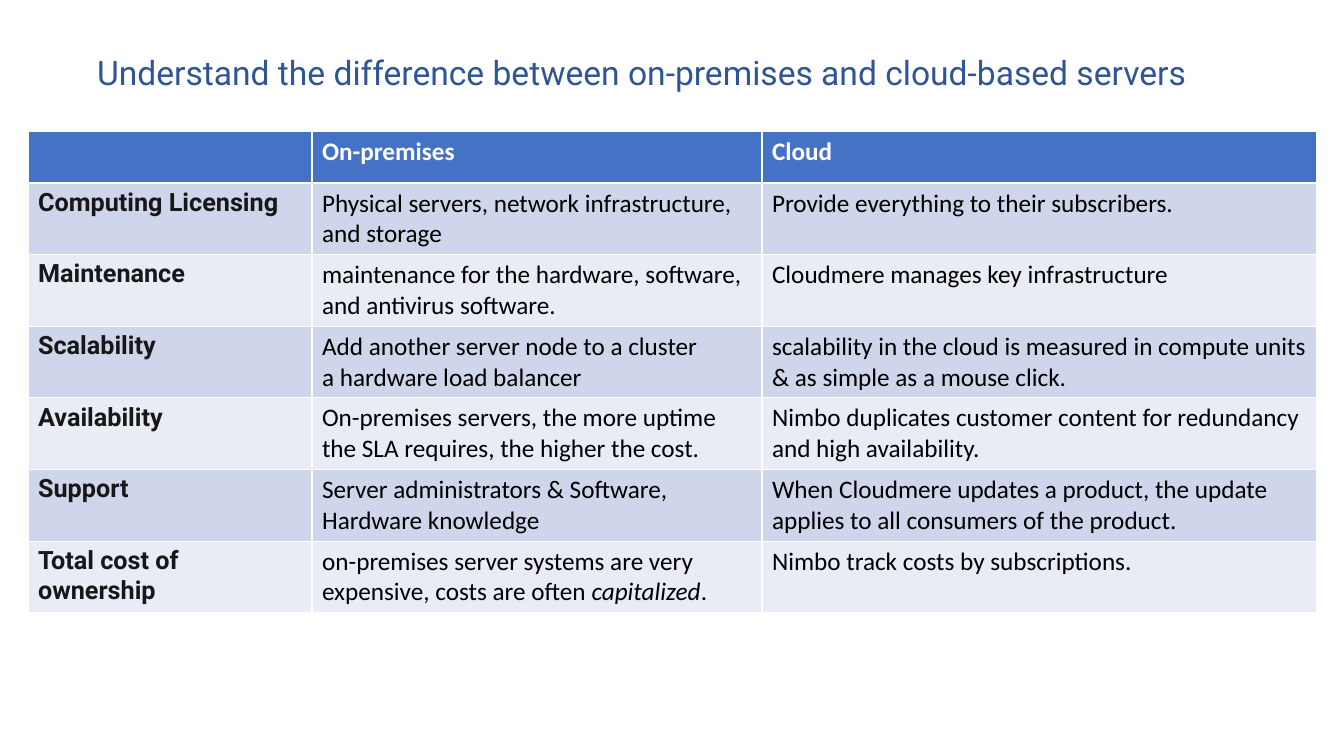
import pptx
import pptx.dml.color
import pptx.enum.text
import pptx.util

RGBColor = pptx.dml.color.RGBColor
TITLE_BLUE = RGBColor(0x2F, 0x55, 0x97)
HEADER_BLUE = RGBColor(0x44, 0x72, 0xC4)
BAND_DARK = RGBColor(0xCF, 0xD5, 0xEA)
BAND_LIGHT = RGBColor(0xE9, 0xEB, 0xF5)
WHITE = RGBColor(0xFF, 0xFF, 0xFF)
BLACK = RGBColor(0x00, 0x00, 0x00)
LABEL_BLACK = RGBColor(0x17, 0x17, 0x17)

COLUMN_WIDTHS = [284, 450, 555]
HEADER_HEIGHT = 52
ROW_HEIGHT = 70

ROWS = [
    ["", "On-premises", "Cloud"],
    ["Computing Licensing",
     "Physical servers, network infrastructure, and storage",
     "Provide everything to their subscribers."],
    ["Maintenance",
     "maintenance for the hardware, software, and antivirus software.",
     "Cloudmere manages key infrastructure"],
    ["Scalability",
     "Add another server node to a cluster\na hardware load balancer",
     "scalability in the cloud is measured in compute units & as simple as a mouse click."],
    ["Availability",
     "On-premises servers, the more uptime the SLA requires, the higher the cost.",
     "Nimbo duplicates customer content for redundancy and high availability."],
    ["Support",
     "Server administrators & Software, Hardware knowledge",
     "When Cloudmere updates a product, the update applies to all consumers of the product."],
    ["Total cost of ownership",
     "on-premises server systems are very expensive, costs are often *capitalized*.",
     "Nimbo track costs by subscriptions."],
]


def px(length):
    return pptx.util.Emu(round(length * 914400 / 100.8))


def add_run(paragraph, text, size, font_name, color, bold=False, italic=False):
    run = paragraph.add_run()
    run.text = text
    run.font.size = pptx.util.Pt(size)
    run.font.name = font_name
    run.font.color.rgb = color
    run.font.bold = bold
    run.font.italic = italic


presentation = pptx.Presentation()
presentation.slide_width = px(1344)
presentation.slide_height = px(756)
slide = presentation.slides.add_slide(presentation.slide_layouts[5])

title = slide.shapes.title
title.left, title.top, title.width, title.height = px(87), px(47), px(1211), px(51)
title_frame = title.text_frame
title_frame.word_wrap = True
title_frame.auto_size = pptx.enum.text.MSO_AUTO_SIZE.NONE
title_frame.vertical_anchor = pptx.enum.text.MSO_ANCHOR.TOP
title_paragraph = title_frame.paragraphs[0]
title_paragraph.alignment = pptx.enum.text.PP_ALIGN.LEFT
add_run(title_paragraph,
        "Understand the difference between on-premises and cloud-based servers",
        24, "Roboto", TITLE_BLUE)

table_height = HEADER_HEIGHT + ROW_HEIGHT * (len(ROWS) - 1)
table = slide.shapes.add_table(
    len(ROWS), len(COLUMN_WIDTHS),
    px(28), px(131), px(sum(COLUMN_WIDTHS)), px(table_height)).table
for column, width in zip(table.columns, COLUMN_WIDTHS):
    column.width = px(width)

for row_index, texts in enumerate(ROWS):
    is_header = row_index == 0
    table.rows[row_index].height = px(HEADER_HEIGHT if is_header else ROW_HEIGHT)
    if is_header:
        fill_color = HEADER_BLUE
    else:
        fill_color = BAND_DARK if row_index % 2 else BAND_LIGHT
    for column_index, text in enumerate(texts):
        cell = table.cell(row_index, column_index)
        cell.fill.solid()
        cell.fill.fore_color.rgb = fill_color
        is_label = column_index == 0
        font_name = "Roboto" if is_label else "Calibri"
        if is_header:
            color = WHITE
        else:
            color = LABEL_BLACK if is_label else BLACK
        for line_index, line in enumerate(text.split("\n")):
            if line_index:
                paragraph = cell.text_frame.add_paragraph()
            else:
                paragraph = cell.text_frame.paragraphs[0]
            for part_index, part in enumerate(line.split("*")):
                if part:
                    add_run(paragraph, part, 18, font_name, color,
                            bold=is_header or is_label, italic=part_index % 2 == 1)

presentation.save("out.pptx")
